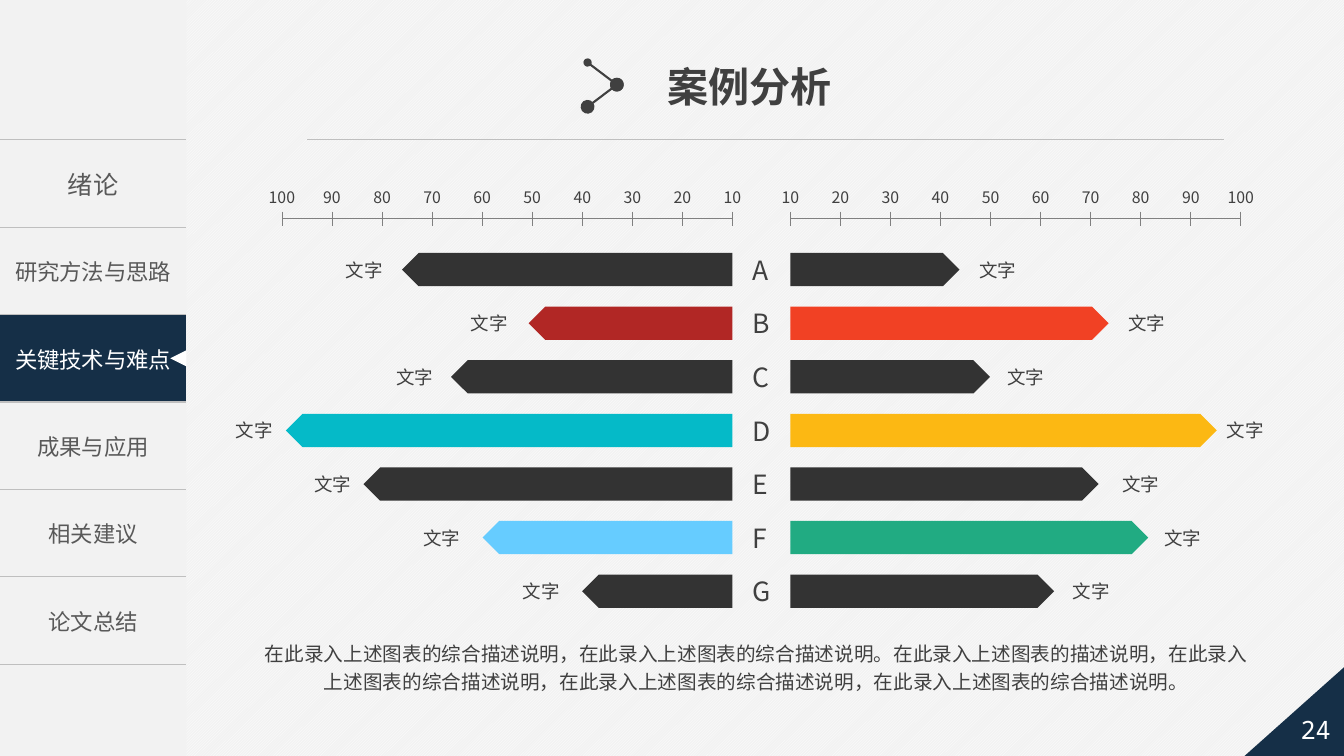
import pptx
import pptx.dml.color
import pptx.enum.dml
import pptx.enum.shapes
import pptx.enum.text
import pptx.oxml
import pptx.oxml.ns
import pptx.util

SHAPE = pptx.enum.shapes.MSO_SHAPE
ALIGN = pptx.enum.text.PP_ALIGN
ANCHOR = pptx.enum.text.MSO_ANCHOR
SLIDE_WIDTH = pptx.util.Inches(13.33)
SLIDE_HEIGHT = pptx.util.Inches(7.5)
FONT = "Noto Sans CJK SC"
COLORS = {
    "white": "FFFFFF", "paper": "F2F2F2", "navy": "152F47", "rule": "BFBFBF",
    "axis": "808080", "menu": "595959", "text": "404040", "dark": "333333",
    "crimson": "B12725", "orange": "F14124", "teal": "05BAC8",
    "yellow": "FCB813", "sky": "66CCFF", "green": "21AB82",
}

# Every position and size below is a percentage of the slide's width or height.
SIDEBAR_WIDTH = 13.87
MENU_TOP, MENU_ROW = 18.5, 11.56
MENU = ["绪论", "研究方法与思路", "关键技术与难点", "成果与应用", "相关建议", "论文总结"]
ACTIVE_ROW = 2

AXIS_Y, TICK_HALF, TICK_LABEL_Y = 28.93, 0.93, 26.07
TEN_UNITS = 3.725
LEFT_AXIS, RIGHT_AXIS = (54.5, -1), (58.8, 1)  # position of value 10, direction
FIRST_BAR_Y, BAR_PITCH, BAR_HEIGHT = 35.67, 7.09, 4.4
BAR_LABEL = "文字"
# letter, then (value, label position on the scale, color) to the left and right
BARS = [
    ("A", (76.0, 83.6, "dark"), (43.8, 51.4, "dark")),
    ("B", (50.7, 58.6, "crimson"), (73.6, 81.2, "orange")),
    ("C", (66.2, 73.5, "dark"), (49.9, 57.0, "dark")),
    ("D", (99.2, 105.5, "teal"), (95.2, 100.9, "yellow")),
    ("E", (83.7, 89.8, "dark"), (71.6, 80.0, "dark")),
    ("F", (59.9, 68.1, "sky"), (81.5, 88.4, "green")),
    ("G", (40.0, 48.2, "dark"), (62.7, 70.1, "dark")),
]
DESCRIPTION = (
    "在此录入上述图表的综合描述说明，在此录入上述图表的综合描述说明。"
    "在此录入上述图表的描述说明，在此录入上述图表的综合描述说明，"
    "在此录入上述图表的综合描述说明，在此录入上述图表的综合描述说明。"
)


def across(share):
    return round(SLIDE_WIDTH * share / 100)


def down(share):
    return round(SLIDE_HEIGHT * share / 100)


def rgb(color):
    return pptx.dml.color.RGBColor.from_string(COLORS[color])


def box(left, top, width, height):
    return across(left), down(top), across(width), down(height)


def write(text_frame, text, size, color="text", align=ALIGN.CENTER, font=FONT, bold=False):
    """Fill a text frame with one paragraph in a Latin and an East Asian font."""
    text_frame.text = text
    paragraph = text_frame.paragraphs[0]
    paragraph.alignment = align
    run = paragraph.runs[0]
    run.font.size = pptx.util.Pt(size)
    run.font.bold = bold
    run.font.name = font
    run.font.color.rgb = rgb(color)
    east_asian = pptx.oxml.parse_xml(f'<a:ea {pptx.oxml.ns.nsdecls("a")} typeface="{FONT}"/>')
    run.font._element.find(pptx.oxml.ns.qn("a:latin")).addnext(east_asian)
    return paragraph


def add_text(slide, area, text, size, wrap=False, **style):
    text_frame = slide.shapes.add_textbox(*box(*area)).text_frame
    text_frame.word_wrap = wrap
    text_frame.vertical_anchor = ANCHOR.MIDDLE
    return write(text_frame, text, size, **style)


def add_centered_text(slide, x, y, text, size):
    width, height = 4.28, 4.27
    add_text(slide, (x - width / 2, y - height / 2, width, height), text, size)


def add_block(slide, preset, area, color, flip=False):
    shape = slide.shapes.add_shape(preset, *box(*area))
    shape.shadow.inherit = False
    shape.fill.solid()
    shape.fill.fore_color.rgb = rgb(color)
    shape.line.fill.background()
    if flip:
        shape._element.spPr.xfrm.set("flipH", "1")
    return shape


def add_line(slide, start, end, color, width=0.5, ovals=()):
    """Draw a line; ovals gives the sizes of round ends at start and end."""
    line = slide.shapes.add_connector(
        pptx.enum.shapes.MSO_CONNECTOR.STRAIGHT,
        across(start[0]), down(start[1]), across(end[0]), down(end[1]))
    line.line.color.rgb = rgb(color)
    line.line.width = pptx.util.Pt(width)
    namespace = pptx.oxml.ns.nsdecls("a")
    for tag, size in zip(("headEnd", "tailEnd"), ovals):
        line.line._get_or_add_ln().append(pptx.oxml.parse_xml(
            f'<a:{tag} {namespace} type="oval" w="{size}" len="{size}"/>'))
    line._element.spPr.append(pptx.oxml.parse_xml(f"<a:effectLst {namespace}/>"))


def set_cell_borders(cell):
    """Rule a cell above and below, and leave its sides open."""
    rule = f'<a:solidFill><a:srgbClr val="{COLORS["rule"]}"/></a:solidFill>'
    borders = {"lnL": "<a:noFill/>", "lnR": "<a:noFill/>", "lnT": rule, "lnB": rule}
    properties = cell._tc.get_or_add_tcPr()
    for index, (tag, paint) in enumerate(borders.items()):
        properties.insert(index, pptx.oxml.parse_xml(
            f'<a:{tag} {pptx.oxml.ns.nsdecls("a")} w="12700">{paint}</a:{tag}>'))


def add_sidebar(slide):
    add_block(slide, SHAPE.RECTANGLE, (0, 0, SIDEBAR_WIDTH, 100), "paper")
    area = box(0, MENU_TOP, SIDEBAR_WIDTH, MENU_ROW * len(MENU))
    table = slide.shapes.add_table(len(MENU), 1, *area).table
    table.first_row = table.horz_banding = False
    for index, title in enumerate(MENU):
        cell = table.cell(index, 0)
        active = index == ACTIVE_ROW
        cell.vertical_anchor = ANCHOR.MIDDLE
        write(cell.text_frame, title, 16 if index else 18, "white" if active else "menu")
        if active:
            cell.fill.solid()
            cell.fill.fore_color.rgb = rgb("navy")
        else:
            cell.fill.background()
        set_cell_borders(cell)
    width, height = 1.2, 2.13
    middle = MENU_TOP + MENU_ROW * (ACTIVE_ROW + 0.5)
    marker = add_block(slide, SHAPE.ISOSCELES_TRIANGLE,
                       (SIDEBAR_WIDTH - width, middle - height / 2, width, height), "white")
    marker.rotation = 270


def add_heading(slide):
    add_line(slide, (22.87, MENU_TOP), (91.05, MENU_TOP), "rule")
    add_text(slide, (48.9, 7.47, 13.87, 7.87), "案例分析", 29.3,
             align=ALIGN.LEFT, font="Arial", bold=True)
    joint = (45.9, 11.2)
    add_line(slide, (43.72, 8.27), joint, "text", 1.5, ("med", "lg"))
    add_line(slide, joint, (43.72, 14.13), "text", 1.5, ("lg", "lg"))


def scale_x(axis, value):
    origin, direction = axis
    return origin + direction * (value - 10) / 10 * TEN_UNITS


def add_axis(slide, axis):
    add_line(slide, (scale_x(axis, 10), AXIS_Y), (scale_x(axis, 100), AXIS_Y), "axis")
    for value in range(10, 101, 10):
        x = scale_x(axis, value)
        add_line(slide, (x, AXIS_Y - TICK_HALF), (x, AXIS_Y + TICK_HALF), "axis")
        add_centered_text(slide, x, TICK_LABEL_Y, str(value), 11.3)


def add_bar(slide, axis, y, value, label_value, color):
    base, tip = axis[0], scale_x(axis, value)
    area = (min(base, tip), y - BAR_HEIGHT / 2, abs(tip - base), BAR_HEIGHT)
    add_block(slide, SHAPE.PENTAGON, area, color, flip=tip < base)
    add_centered_text(slide, scale_x(axis, label_value), y, BAR_LABEL, 13.2)


def add_bars(slide):
    for index, (letter, left, right) in enumerate(BARS):
        y = FIRST_BAR_Y + index * BAR_PITCH
        add_bar(slide, LEFT_AXIS, y, *left)
        add_bar(slide, RIGHT_AXIS, y, *right)
        add_text(slide, (55.28, y - 2.8, 2.93, 5.6), letter, 18.9, align=ALIGN.LEFT)


def add_page_corner(slide):
    add_block(slide, SHAPE.RIGHT_TRIANGLE, (92.6, 88.27, 7.4, 11.73), "navy", flip=True)
    add_text(slide, (95.8, 92.93, 4.2, 7.07), "24", 18, color="white", font="Noto Sans Mono")


def main():
    presentation = pptx.Presentation()
    presentation.slide_width, presentation.slide_height = SLIDE_WIDTH, SLIDE_HEIGHT
    slide = presentation.slides.add_slide(presentation.slide_layouts[6])
    background = slide.background.fill
    background.patterned()
    background.pattern = pptx.enum.dml.MSO_PATTERN.LIGHT_UPWARD_DIAGONAL
    background.fore_color.rgb = rgb("white")
    background.back_color.rgb = rgb("paper")
    add_sidebar(slide)
    add_page_corner(slide)
    add_heading(slide)
    for axis in (LEFT_AXIS, RIGHT_AXIS):
        add_axis(slide, axis)
    add_bars(slide)
    description = add_text(slide, (18.52, 83.6, 75.53, 8.93), DESCRIPTION, 14, wrap=True)
    description.line_spacing = pptx.util.Pt(20)
    presentation.save("out.pptx")


if __name__ == "__main__":
    main()
